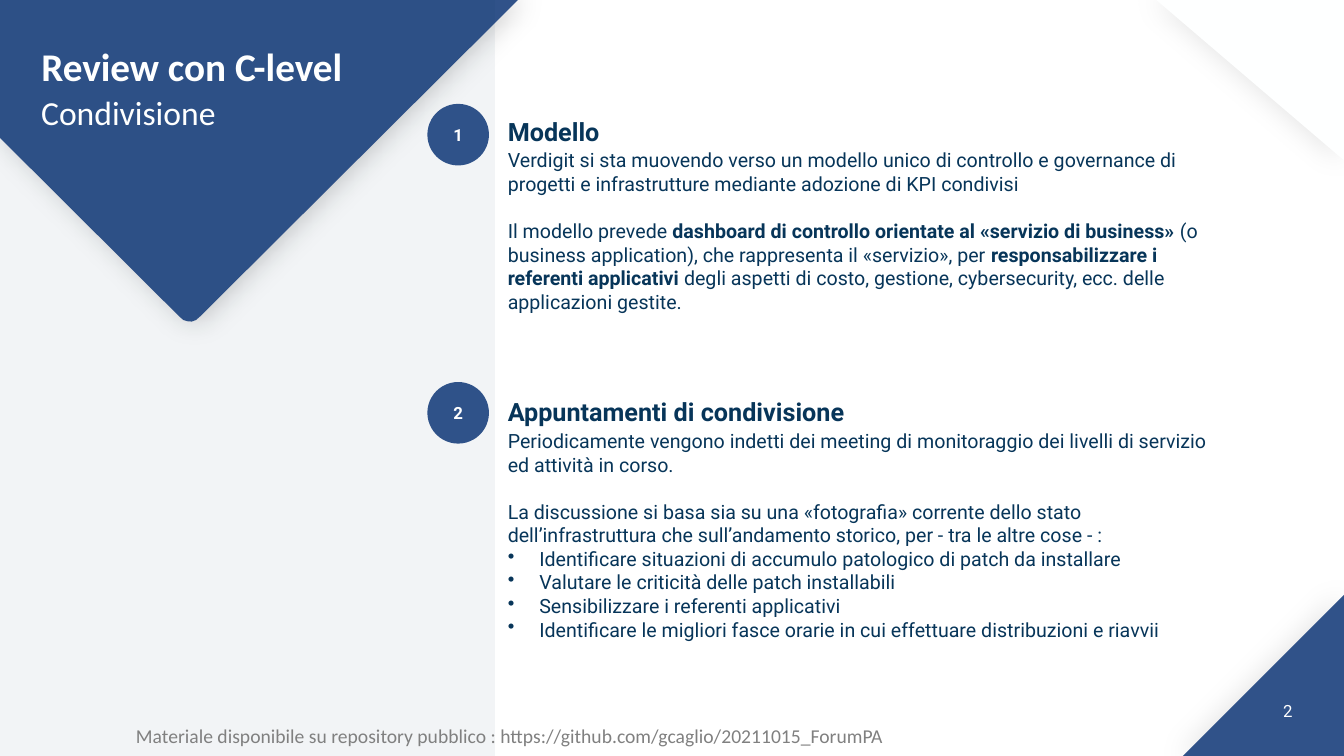
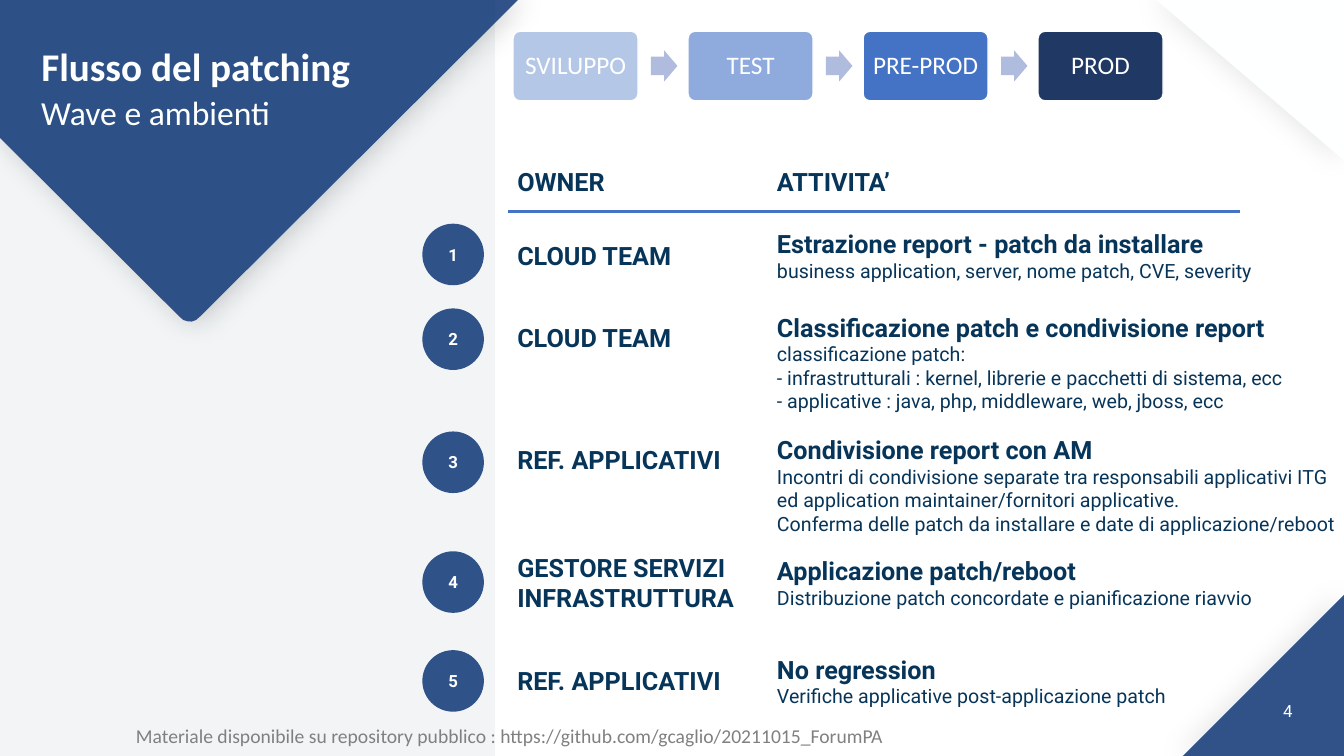
from lxml import etree
from pptx import Presentation
from pptx.dml.color import RGBColor
from pptx.enum import shapes as kinds, text as modes
from pptx.oxml import ns
from pptx.util import Pt

WIDTH, HEIGHT = 960, 540
BLUE, DISC, NAVY, WHITE = "305289", "2F5289", "073559", "FEFFFF"
ACCENT, ARROW, GREY = "4472C4", "B0BCDE", "808080"

TITLE = dict(name="Calibri", size=28, color=WHITE, bold=True)
SUBTITLE = dict(name="Calibri", size=24, color=WHITE)
FOOTER = dict(name="Calibri", size=14, color=GREY)
NUMBER = dict(name="Roboto", size=12, color="FFFFFF")
BADGE = dict(NUMBER, bold=True)
HEADING = dict(name="Roboto", size=18, color=NAVY, bold=True)
BODY = dict(name="Roboto", size=14, color=NAVY)
STAGE = dict(name="Calibri", size=18, color="FFFFFF")

FOOTER_TEXT = "Materiale disponibile su repository pubblico : https://github.com/gcaglio/20211015_ForumPA"
BANNER = [(0, 0), (0, 98.5), (128, 226), (131, 228.6), (134, 229.5),
          (137, 229.7), (140, 228.6), (143, 226), (370, 0)]
NUMBER_CORNER = [(960, 425), (960, 540), (845, 540)]
WHITE_CORNER = [(826, 0), (960, 0), (960, 114.5)]

REVIEW = dict(title="Review con C-level", subtitle="Condivisione", number="2")
SECTIONS = [
    (74.2, 82.6, "Modello", [
        "Verdigit si sta muovendo verso un modello unico di controllo e governance di "
        "progetti e infrastrutture mediante adozione di KPI condivisi",
        "Il modello prevede **dashboard di controllo orientate al «servizio di business» **"
        "(o business application), che rappresenta il «servizio», per **responsabilizzare i "
        "referenti applicativi **degli aspetti di costo, gestione, cybersecurity, ecc. delle "
        "applicazioni gestite.",
    ]),
    (272.9, 283.1, "Appuntamenti di condivisione", [
        "Periodicamente vengono indetti dei meeting di monitoraggio dei livelli di servizio "
        "ed attività in corso.",
        "La discussione si basa sia su una «fotografia» corrente dello stato "
        "dell’infrastruttura che sull’andamento storico, per - tra le altre cose - :",
        "• Identificare situazioni di accumulo patologico di patch da installare",
        "• Valutare le criticità delle patch installabili",
        "• Sensibilizzare i referenti applicativi",
        "• Identificare le migliori fasce orarie in cui effettuare distribuzioni e riavvii",
    ]),
]

PATCHING = dict(title="Flusso del patching", subtitle="Wave e ambienti", number="4")
STAGES = [("SVILUPPO", "B4C7E7"), ("TEST", "8FAADC"), ("PRE-PROD", ACCENT), ("PROD", "203864")]
OWNER_X, ACTIVITY_X = 366.5, 552
COLUMNS = [(OWNER_X, "OWNER"), (ACTIVITY_X, "ATTIVITA’")]
STEPS = [
    (159.8, 160.5, 44, ["CLOUD TEAM"], "Estrazione report - patch da installare",
     ["business application, server, nome patch, CVE, severity"]),
    (220.3, 218.9, 80, ["CLOUD TEAM"], "Classificazione patch e condivisione report",
     ["classificazione patch:",
      "- infrastrutturali : kernel, librerie e pacchetti di sistema, ecc",
      "- applicative : java, php, middleware, web, jboss, ecc"]),
    (308.2, 306.4, 80, ["REF. APPLICATIVI"], "Condivisione report con AM",
     ["Incontri di condivisione separate tra responsabili applicativi ITG",
      "ed application maintainer/fornitori applicative.",
      "Conferma delle patch da installare e date di applicazione/reboot"]),
    (393.8, 393.8, 44, ["GESTORE SERVIZI", "INFRASTRUTTURA"], "Applicazione patch/reboot",
     ["Distribuzione patch concordate e pianificazione riavvio"]),
    (464.4, 464.4, 44, ["REF. APPLICATIVI"], "No regression",
     ["Verifiche applicative post-applicazione patch"]),
]


def rgb(value):
    return RGBColor.from_string(value)


def points(*values):
    return [Pt(value) for value in values]


def add_xml(parent, tag, **attributes):
    return etree.SubElement(parent, ns.qn(tag), attributes)


def paint(shape, color, line=None):
    shape.shadow.inherit = False
    shape.fill.solid()
    shape.fill.fore_color.rgb = rgb(color)
    if line:
        shape.line.color.rgb = rgb(line)
        shape.line.width = Pt(1)
    else:
        shape.line.fill.background()
    return shape


def write(frame, lines, inset=3, anchor="TOP", align="LEFT", wrap=True, spacing=None, gap_at=None):
    settings = dict(word_wrap=wrap, auto_size=modes.MSO_AUTO_SIZE.NONE,
                    vertical_anchor=getattr(modes.MSO_ANCHOR, anchor))
    for side in ("left", "right", "top", "bottom"):
        settings["margin_" + side] = Pt(inset)
    for key, value in settings.items():
        setattr(frame, key, value)
    for index, (line, style) in enumerate(lines):
        paragraph = frame.add_paragraph() if index else frame.paragraphs[0]
        if line.startswith("• "):
            line = line[2:]
            properties = paragraph._p.get_or_add_pPr()
            properties.set("marL", str(Pt(22.5)))
            properties.set("indent", str(Pt(-22.5)))
            add_xml(properties, "a:buChar", char="•")
        paragraph.alignment = getattr(modes.PP_ALIGN, align)
        paragraph.space_before = Pt(16.9 if index and index == gap_at else 0)
        if spacing:
            paragraph.line_spacing = spacing
        for part, words in enumerate(line.split("**")):
            if not words:
                continue
            run = paragraph.add_run()
            run.text = words
            font = dict(style, size=Pt(style["size"]), bold=style.get("bold", part % 2 == 1))
            run.font.color.rgb = rgb(font.pop("color"))
            for key, value in font.items():
                setattr(run.font, key, value)


def add_text(slide, box, lines, **layout):
    label = slide.shapes.add_textbox(*points(*box))
    write(label.text_frame, lines, **layout)
    return label


def add_outline(slide, corners, color, opacity, direction):
    builder = slide.shapes.build_freeform(*points(*corners[0]), scale=1.0)
    builder.add_line_segments([points(*corner) for corner in corners[1:]], close=True)
    outline = paint(builder.convert_to_shape(), color)
    effects = outline._element.spPr.find(ns.qn("a:effectLst"))
    shadow = add_xml(effects, "a:outerShdw", blurRad=str(Pt(20)), dist=str(Pt(3)),
                     dir=str(direction * 60000), algn="ctr", rotWithShape="0")
    add_xml(add_xml(shadow, "a:srgbClr", val="000000"), "a:alpha", val=str(opacity * 1000))
    return outline


def add_badge(slide, left, top, number):
    disc = slide.shapes.add_shape(kinds.MSO_SHAPE.OVAL, *points(left, top, 44, 44))
    paint(disc, DISC)
    write(disc.text_frame, [(str(number), BADGE)], anchor="MIDDLE", align="CENTER")


def move_backdrop_to_layout(slide, layout):
    banner = add_outline(slide, BANNER, BLUE, 20, 0)
    number_corner = add_outline(slide, NUMBER_CORNER, BLUE, 10, 180)
    band = paint(slide.shapes.add_shape(kinds.MSO_SHAPE.RECTANGLE, *points(0, 0, 353.5, HEIGHT)), NAVY)
    tint = band._element.spPr.find(ns.qn("a:solidFill"))[0]
    add_xml(tint, "a:alpha", val="5000")
    white_corner = add_outline(slide, WHITE_CORNER, WHITE, 10, 180)
    footer = add_text(slide, (90, 513.4, 553.7, 24.5), [(FOOTER_TEXT, FOOTER)], inset=7.2, wrap=False)
    footer.text_frame.margin_top = footer.text_frame.margin_bottom = Pt(3.6)
    for index, part in enumerate((banner, number_corner, band, white_corner, footer)):
        part._element.xpath(".//p:cNvPr")[0].set("id", str(100 + index))
        layout.shapes._spTree.append(part._element)


def add_slide(deck, layout, title, subtitle, number):
    slide = deck.slides.add_slide(layout)
    heading = slide.shapes.title
    for key, value in zip(("left", "top", "width", "height"), points(22.3, 30.2, 311.8, 42.5)):
        setattr(heading, key, value)
    write(heading.text_frame, [(title, TITLE)], inset=7.2, spacing=0.9)
    subheading = add_text(slide, (22.3, 65.5, 244, 38.2), [(subtitle, SUBTITLE)], inset=7.2, spacing=0.9)
    page = add_text(slide, (909.4, 496.8, 23, 21.6), [(number, NUMBER)], inset=7.2, wrap=False)
    for frame in (heading.text_frame, subheading.text_frame, page.text_frame):
        frame.margin_top = frame.margin_bottom = Pt(3.6)
    return slide


def fill_review(slide):
    for number, (badge_top, heading_top, heading, body) in enumerate(SECTIONS, 1):
        add_badge(slide, 305.3, badge_top, number)
        add_text(slide, (359.7, heading_top, 300, 22), [(heading, HEADING)], anchor="MIDDLE")
        add_text(slide, (359.7, heading_top + 20.4, 517.7, 160),
                 [(line, BODY) for line in body], gap_at=1)


def fill_patching(slide):
    for index, (stage, color) in enumerate(STAGES):
        left = OWNER_X + index * 125
        chip = slide.shapes.add_shape(kinds.MSO_SHAPE.ROUNDED_RECTANGLE, *points(left, 22.3, 89.3, 49.7))
        chip.adjustments[0] = 0.1
        paint(chip, color, "FFFFFF")
        write(chip.text_frame, [(stage, STAGE)], anchor="MIDDLE", align="CENTER", spacing=0.9)
        if index < len(STAGES) - 1:
            arrow = slide.shapes.add_shape(kinds.MSO_SHAPE.RIGHT_ARROW, *points(left + 98.5, 36, 18.9, 22.2))
            arrow.adjustments[0] = 0.6
            paint(arrow, ARROW)
    for left, column in COLUMNS:
        add_text(slide, (left, 107.3, 147, 44), [(column, HEADING)], anchor="MIDDLE")
    rule = slide.shapes.add_connector(kinds.MSO_CONNECTOR.STRAIGHT, *points(362.9, 151.2, 885.6, 151.2))
    rule.line.color.rgb = rgb(ACCENT)
    rule.line.width = Pt(2.25)
    add_xml(rule._element.spPr, "a:effectLst")
    for number, (badge_top, top, height, owner, activity, details) in enumerate(STEPS, 1):
        add_badge(slide, 301.7, badge_top, number)
        add_text(slide, (OWNER_X, top, 166, 44), [(line, HEADING) for line in owner], anchor="MIDDLE")
        add_text(slide, (ACTIVITY_X, top, WIDTH - ACTIVITY_X, height),
                 [(activity, HEADING)] + [(line, BODY) for line in details], anchor="MIDDLE")


def main():
    deck = Presentation()
    deck.slide_width, deck.slide_height = points(WIDTH, HEIGHT)
    layout = deck.slide_layouts.get_by_name("Title Only")
    review = add_slide(deck, layout, **REVIEW)
    move_backdrop_to_layout(review, layout)
    fill_review(review)
    fill_patching(add_slide(deck, layout, **PATCHING))
    deck.save("out.pptx")


if __name__ == "__main__":
    main()
